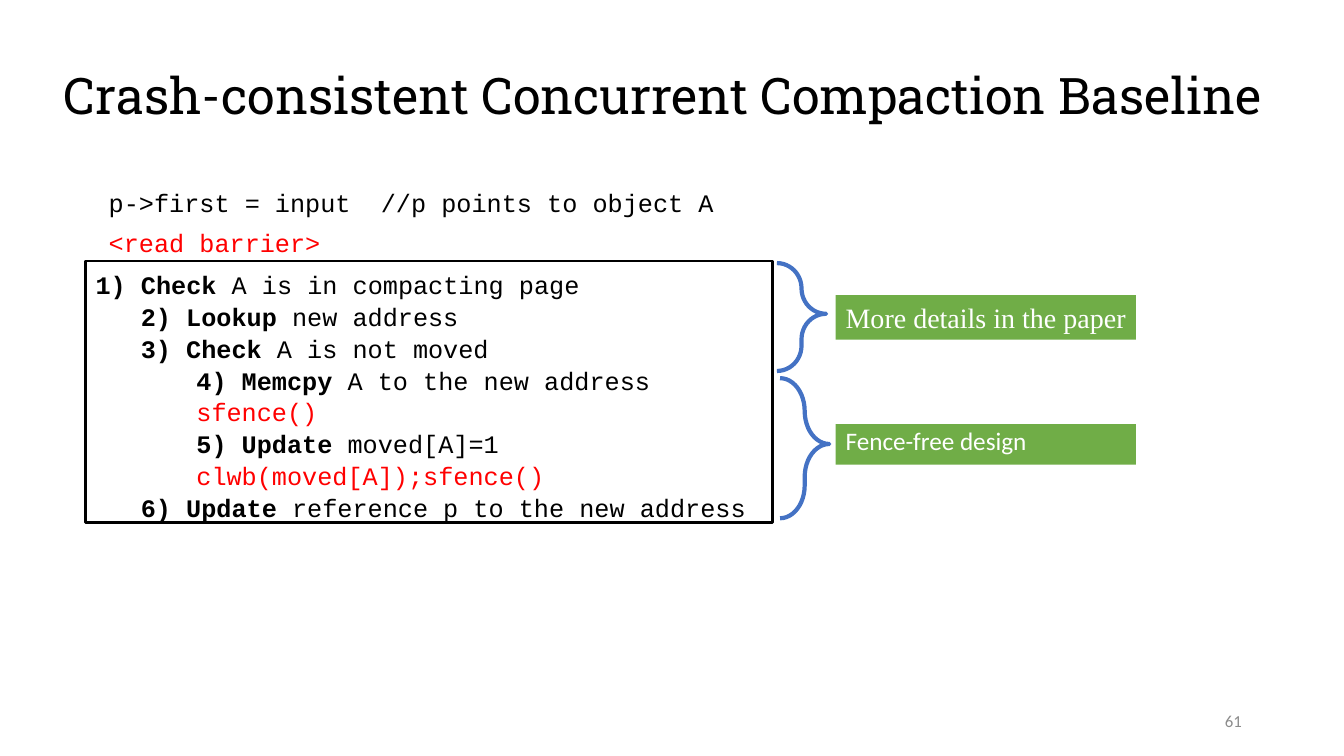
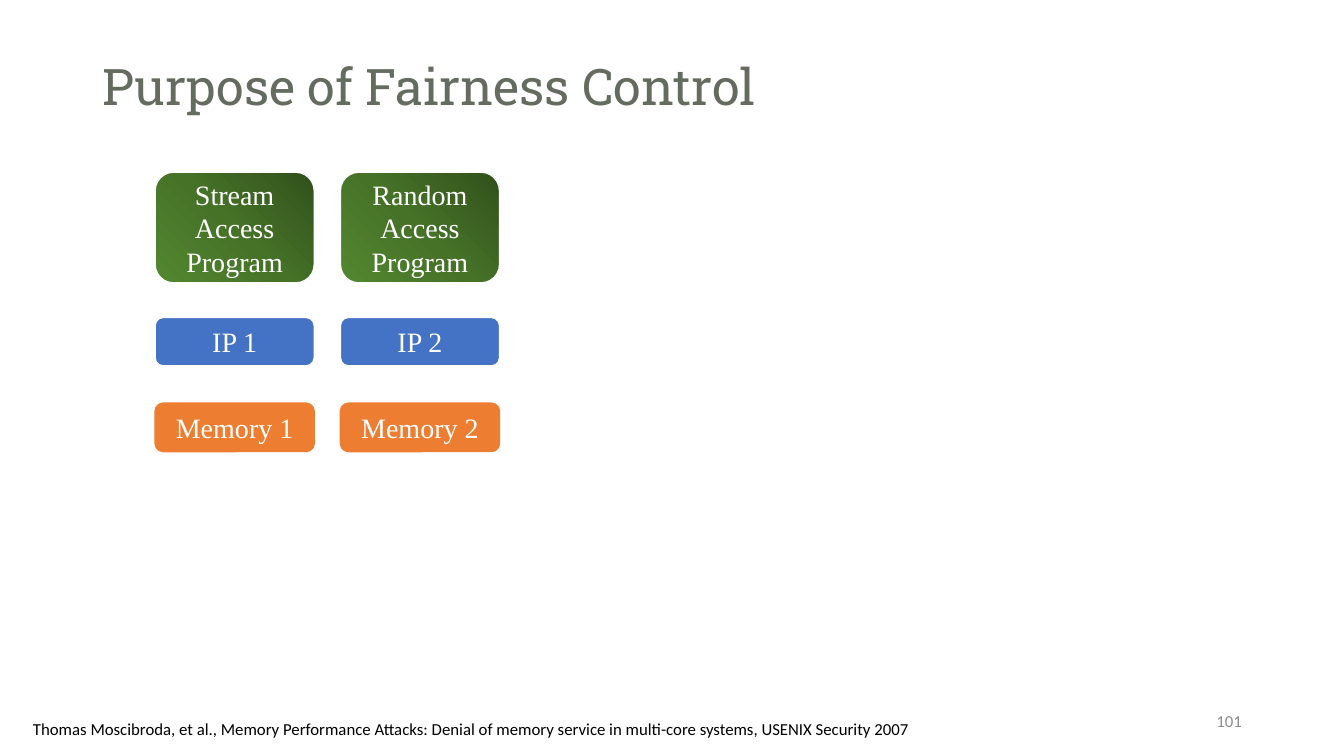
from dataclasses import dataclass

from lxml import etree
from pptx import Presentation
from pptx.dml.color import RGBColor
from pptx.enum.shapes import MSO_SHAPE
from pptx.enum.text import MSO_ANCHOR, MSO_AUTO_SIZE, PP_ALIGN
from pptx.util import Cm, Pt

RECT, ROUND, BRACE = MSO_SHAPE.RECTANGLE, MSO_SHAPE.ROUNDED_RECTANGLE, MSO_SHAPE.RIGHT_BRACE
TOP, MIDDLE = MSO_ANCHOR.TOP, MSO_ANCHOR.MIDDLE
LEFT, CENTER, RIGHT = PP_ALIGN.LEFT, PP_ALIGN.CENTER, PP_ALIGN.RIGHT
FIXED = MSO_AUTO_SIZE.NONE
DML = "http://schemas.openxmlformats.org/drawingml/2006/main"
TITLE_ONLY = 5


@dataclass(frozen=True)
class Font:
    name: str
    size: int


@dataclass(frozen=True)
class Theme:
    # Colours
    black: str = "000000"
    white: str = "FFFFFF"
    red: str = "FF0000"
    gray: str = "8C8C8C"
    olive: str = "646B5F"
    blue: str = "4472C4"
    green: str = "70AD47"
    orange: str = "ED7D31"
    shade: tuple = ("31501C", "467228", "538730")
    # Type
    head: Font = Font("Roboto Slab", 36)
    code: Font = Font("Courier New", 18)
    box: Font = Font("Times New Roman", 20)
    note: Font = Font("Calibri", 18)
    foot: Font = Font("Calibri", 12)


class Deck:
    def __init__(self, theme):
        self.theme = theme
        self.file = Presentation()
        self.file.slide_width, self.file.slide_height = Cm(33.87), Cm(19.05)
        self.slide = None

    def page(self, title, area, color, number):
        """Start a slide with its title and page number."""
        layout = self.file.slide_layouts[TITLE_ONLY]
        self.slide = self.file.slides.add_slide(layout)
        head = self.slide.shapes.title
        head.left, head.top, head.width, head.height = map(Cm, area)
        self.fill_in(head, [title], self.theme.head, color, anchor=MIDDLE, space=0.9)
        self.text((23.93, 17.65, 7.62, 1.02), [number], self.theme.foot,
                  self.theme.gray, align=RIGHT, anchor=MIDDLE)

    def fill_in(self, shape, lines, font, color, align=LEFT, anchor=TOP,
                space=1.0, gap=0):
        """Fill a shape with lines; a line is text or (indent, bold, plain, color)."""
        frame = shape.text_frame
        frame.word_wrap, frame.auto_size = True, FIXED
        frame.vertical_anchor = anchor
        for i, line in enumerate(lines):
            if isinstance(line, str):
                line = (0, "", line, color)
            indent, bold, plain, tint = line
            par = frame.add_paragraph() if i else frame.paragraphs[0]
            par.alignment, par.line_spacing = align, space
            if i and gap:
                par.space_before = Pt(gap)
            if indent:
                par._p.get_or_add_pPr().set("marL", str(Cm(indent)))
            par.font.name, par.font.size = font.name, Pt(font.size)
            par.font.color.rgb = RGBColor.from_string(tint)
            if bold:
                run = par.add_run()
                run.text, run.font.bold = bold, True
            par.add_run().text = plain

    def text(self, area, lines, font, color, **style):
        shape = self.slide.shapes.add_textbox(*map(Cm, area))
        self.fill_in(shape, lines, font, color, **style)

    def shape(self, kind, area, fill=None, line=None, width=1):
        """Add a preset shape; a tuple of colours gives a corner gradient."""
        shape = self.slide.shapes.add_shape(kind, *map(Cm, area))
        shape.shadow.inherit = False
        if isinstance(fill, tuple):
            self.blend(shape, fill)
        elif fill:
            shape.fill.solid()
            shape.fill.fore_color.rgb = RGBColor.from_string(fill)
        else:
            shape.fill.background()
        if line:
            shape.line.color.rgb = RGBColor.from_string(line)
            shape.line.width = Pt(width)
        else:
            shape.line.fill.background()
        return shape

    def blend(self, shape, colors):
        """Spread the colours from the top right corner."""
        shape.fill.background()
        step = 100000 // (len(colors) - 1)
        stops = "".join(f'<a:gs pos="{i * step}"><a:srgbClr val="{color}"/></a:gs>'
                        for i, color in enumerate(colors))
        grad = etree.fromstring(
            f'<a:gradFill xmlns:a="{DML}" rotWithShape="1"><a:gsLst>{stops}</a:gsLst>'
            '<a:path path="circle"><a:fillToRect l="100000" b="100000"/></a:path>'
            '</a:gradFill>')
        props = shape._element.spPr
        props.replace(props.find(f"{{{DML}}}noFill"), grad)

    def brace(self, area):
        shape = self.shape(BRACE, area, line=self.theme.blue, width=3)
        shape.adjustments[0], shape.adjustments[1] = 0.7, 0.47

    def label(self, area, words, font, space=1.0):
        shape = self.shape(RECT, area, self.theme.green)
        shape.text_frame.margin_right = 0
        self.fill_in(shape, [words], font, self.theme.white, space=space)

    def block(self, area, lines, fill, line):
        shape = self.shape(ROUND, area, fill, line)
        self.fill_in(shape, lines, self.theme.box, self.theme.white, CENTER, MIDDLE)


def compact(deck):
    look = deck.theme
    deck.page("Crash-consistent Concurrent Compaction Baseline",
              (1.35, 1.57, 31.22, 1.8), look.black, "61")

    # Statement and its barrier
    deck.text((2.49, 4.6, 18.44, 1.98),
              ["p->first = input  //p points to object A",
               (0, "", "<read barrier>", look.red)],
              look.code, look.black, gap=7)

    # Steps of the barrier
    near, deep = 1.14, 2.54
    steps = [
        (0, "1) Check ", "A is in compacting page", look.black),
        (near, "2) Lookup ", "new address", look.black),
        (near, "3) Check ", "A is not moved", look.black),
        (deep, "4) Memcpy", " A to the new address", look.black),
        (deep, "", "sfence()", look.red),
        (deep, "5) Update ", "moved[A]=1", look.black),
        (deep, "", "clwb(moved[A]);sfence()", look.red),
        (near, "6) Update", " reference p to the new address", look.black),
    ]
    frame = deck.shape(RECT, (2.16, 6.58, 17.3, 6.58), line=look.black, width=2)
    frame.text_frame.margin_top = Cm(0.18)
    deck.fill_in(frame, steps, look.code, look.black, space=1.05)

    # Braces and remarks
    deck.brace((19.58, 6.63, 1.24, 2.72))
    deck.brace((19.66, 9.53, 1.24, 3.53))
    deck.label((21.06, 7.44, 7.57, 1.12), "More details in the paper", look.box)
    deck.label((21.06, 10.69, 7.57, 1.02), "Fence-free design", look.note, 0.9)


def fair(deck):
    look = deck.theme
    deck.page("Purpose of Fairness Control", (2.34, 1.02, 29.21, 2.44),
              look.olive, "101")

    # Programs, processors and memories in two columns
    rows = [
        (4.34, 2.79, look.shade, look.white,
         (["Stream Access", "Program"], ["Random Access", "Program"])),
        (8.0, 1.22, look.blue, look.white, (["IP 1"], ["IP 2"])),
        (10.16, 1.22, look.orange, look.orange, (["Memory 1"], ["Memory 2"])),
    ]
    for top, height, fill, line, cells in rows:
        for col, lines in enumerate(cells):
            deck.block((3.91 + col * 4.67, top, 4.01, height), lines, fill, line)

    # Reference
    deck.text((0.58, 17.98, 23.2, 0.76),
              ["Thomas Moscibroda, et al., Memory Performance Attacks: Denial of "
               "memory service in multi-core systems, USENIX Security 2007"],
              look.foot, look.black)


def main():
    deck = Deck(Theme())
    compact(deck)
    fair(deck)
    deck.file.save("out.pptx")


if __name__ == "__main__":
    main()
